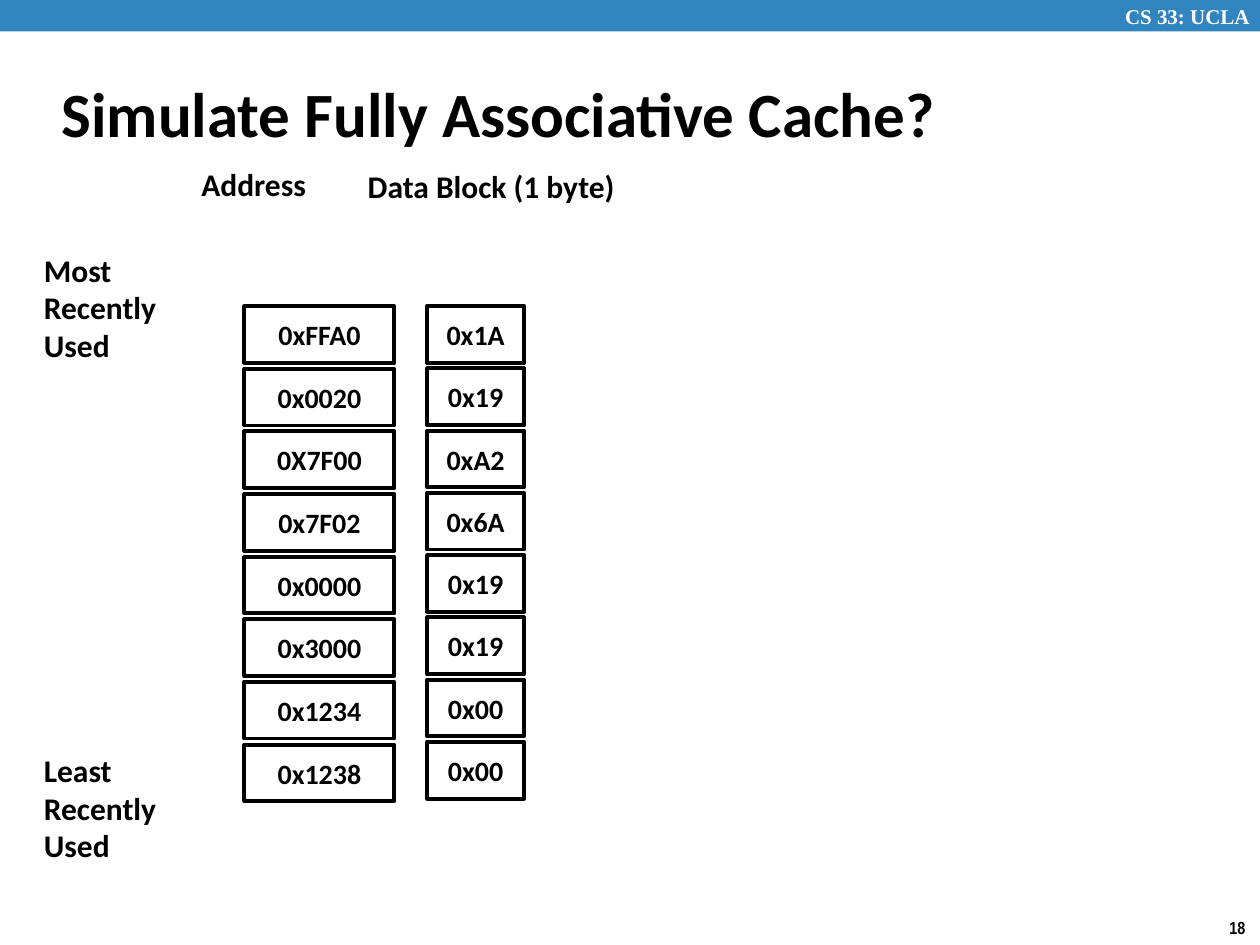
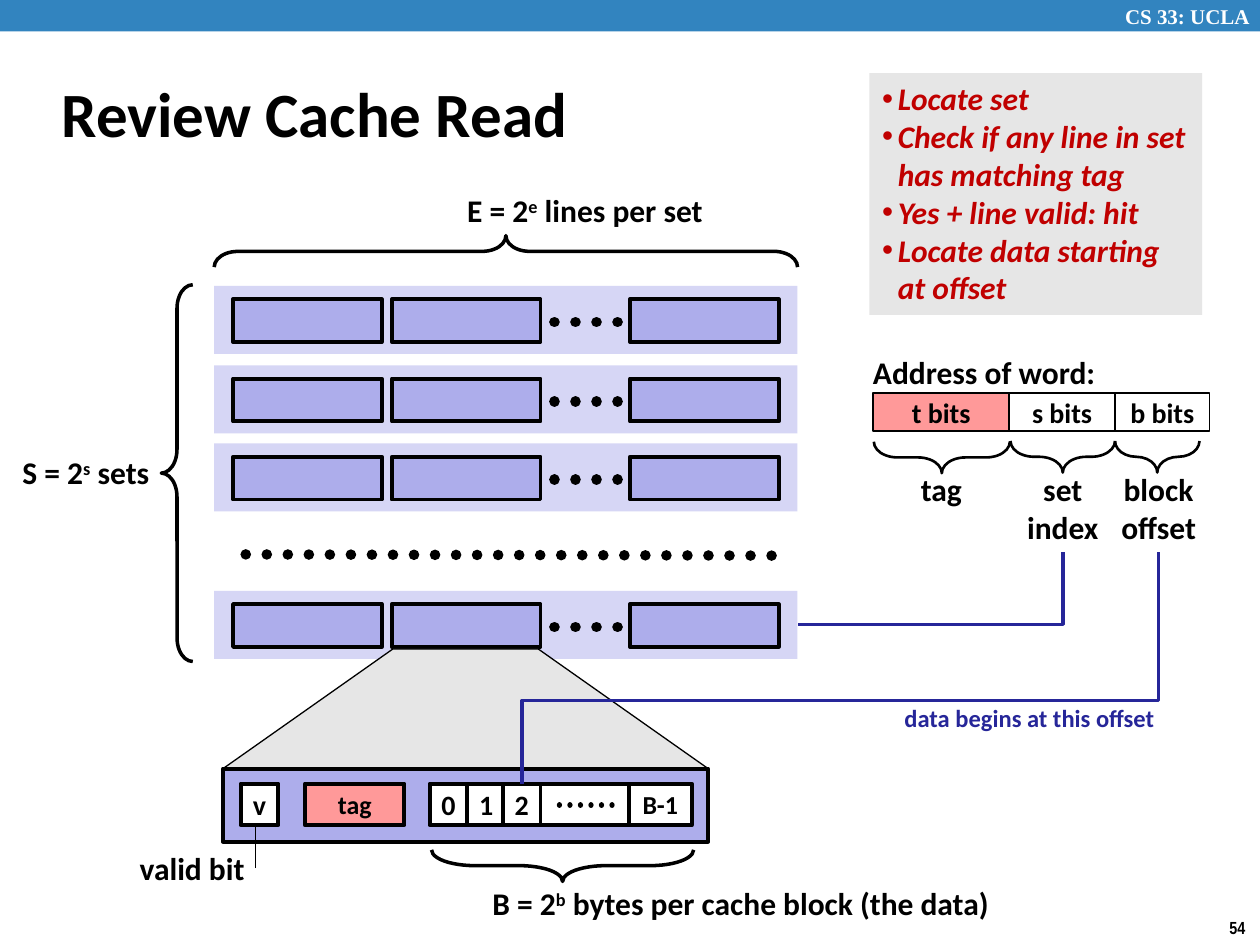
"""Build two cache slides on a grid of 100 columns by 75 rows."""
import pptx
import pptx.util
import pptx.dml.color
import pptx.enum.dml
import pptx.enum.shapes
import pptx.enum.text
import pptx.oxml.ns
import pptx.oxml.xmlchemy

Pt = pptx.util.Pt
Shape = pptx.enum.shapes.MSO_SHAPE
Link = pptx.enum.shapes.MSO_CONNECTOR
Align = pptx.enum.text.PP_ALIGN
Anchor = pptx.enum.text.MSO_ANCHOR
hue = pptx.dml.color.RGBColor.from_string
qn = pptx.oxml.ns.qn
node = pptx.oxml.xmlchemy.OxmlElement

BLACK, WHITE, NAVY = "000000", "FFFFFF", "262699"
BAND, RED, PINK = "3284BF", "C00000", "FF9999"
LILAC, PALE, GREY = "ADADEB", "D6D6F5", "E6E6E6"
CELL = pptx.util.Inches(0.1)

deck = pptx.Presentation()
deck.slide_width, deck.slide_height = 100 * CELL, 75 * CELL


def write(shape, text, size=18, tint=BLACK, align=Align.LEFT, anchor=Anchor.TOP,
          wrap=False, font="Calibri", italic=False):
    """Fill a shape with text: newline for paragraph, tab for line break, ^x^ for superscript."""
    frame = shape.text_frame
    frame.auto_size = pptx.enum.text.MSO_AUTO_SIZE.NONE
    frame.word_wrap, frame.vertical_anchor = wrap, anchor
    for n, words in enumerate(text.split("\n")):
        para = frame.add_paragraph() if n else frame.paragraphs[0]
        para.alignment, para.space_before = align, Pt(0)
        for k, line in enumerate(words.split("\t")):
            if k:
                para.add_line_break()
            for j, part in enumerate(line.split("^")):
                run = para.add_run()
                run.text = part
                run.font.name, run.font.size = font, Pt(size)
                run.font.bold, run.font.italic = True, italic
                run.font.color.rgb = hue(tint)
                if j % 2:
                    run.font._element.set("baseline", "30000")


def draw(slide, at, fill=None, width=0, kind=Shape.RECTANGLE, turn=0, bend=None):
    """Draw a preset shape at left, top, width, height in grid cells."""
    shape = slide.shapes.add_shape(kind, *[int(v * CELL) for v in at])
    shape.shadow.inherit = False
    shape.rotation = turn
    if bend:
        shape.adjustments[0] = bend
    if fill:
        shape.fill.solid()
        shape.fill.fore_color.rgb = hue(fill)
    else:
        shape.fill.background()
    if width:
        shape.line.color.rgb = hue(BLACK)
        shape.line.width = Pt(width)
    else:
        shape.line.fill.background()
    return shape


pages = []
for name, number, layout in [("Simulate Fully Associative Cache?", "18", 5),
                             ("Review Cache Read", "54", 1)]:
    page = deck.slides.add_slide(deck.slide_layouts[layout])
    title = page.shapes.title
    title.left, title.top, title.width, title.height = [
        int(v * CELL) for v in (3.9, 4.8, 83, 8.3)]
    write(title, name, 36, anchor=Anchor.MIDDLE, wrap=True)
    band = draw(page, (0, 0, 100, 2.5), BAND)
    band.text_frame.margin_right = int(0.8 * CELL)
    band.text_frame.margin_top = band.text_frame.margin_bottom = 0
    write(band, "CS 33: UCLA", 12, WHITE, Align.RIGHT, Anchor.MIDDLE,
          wrap=True, font="Times New Roman")
    foot = page.shapes.add_textbox(*[int(v * CELL) for v in (96.6, 72.3, 3.4, 2.7)])
    write(foot, number, 10, font="Arial Narrow")
    pages.append(page)
cache, review = pages

columns = [
    (19.4, 11.9, 4.97, "0xFFA0 0x0020 0X7F00 0x7F02 0x0000 0x3000 0x1234 0x1238"),
    (33.9, 7.7, 4.94, "0x1A 0x19 0xA2 0x6A 0x19 0x19 0x00 0x00"),
]
for left, wide, pitch, values in columns:
    for row, value in enumerate(values.split()):
        entry = draw(cache, (left, 24.3 + row * pitch, wide, 4.5), WHITE, 2.25)
        write(entry, value, 16, align=Align.CENTER, anchor=Anchor.MIDDLE)

body = review.placeholders[1]
body.left, body.top, body.width, body.height = [
    int(v * CELL) for v in (69, 5.8, 26.4, 19.2)]
body.fill.solid()
body.fill.fore_color.rgb = hue(GREY)
write(body, "Locate set\nCheck if any line in set\thas matching tag\n"
      "Yes + line valid: hit\nLocate data starting\tat offset", tint=RED, italic=True)
for para in body.text_frame.paragraphs:
    props = para._p.get_or_add_pPr()
    props.set("marL", str(int(1.25 * CELL)))
    props.set("indent", str(int(-1.25 * CELL)))

wires = [((19.5, 44), (61.9, 44.1), BLACK, 6, True),
         ((44.4, 63.9), (49.4, 63.9), BLACK, 3, True),
         ((20.3, 68.9), (20.3, 65.6), BLACK, 0.75, False)]
for top in (22.7, 29, 35.2, 46.9):
    draw(review, (17, top, 46.3, 5.4), PALE)
    for left in (18.5, 31.1, 50):
        draw(review, (left, top + 1.05, 11.8, 3.4), LILAC, 2.25)
    wires.append(((44, top + 2.87), (50.1, top + 2.87), BLACK, 6, True))

draw(review, (17.7, 51.5, 38.5, 9.5), GREY, 0.75, Shape.TRAPEZOID, bend=1.42)
draw(review, (17.7, 61, 38.5, 5.8), LILAC, 2.25)
for left, wide, text, size, fill in [
        (34.1, 3, "0", 16, WHITE), (37.1, 3, "1", 16, WHITE),
        (39.9, 3, "2", 16, WHITE), (49.9, 5, "B-1", 14.8, WHITE),
        (42.9, 7, "", 16, WHITE), (24.2, 7.9, "tag", 14.8, PINK),
        (19.1, 3, "v", 16, WHITE)]:
    part = draw(review, (left, 62.2, wide, 3.3), fill, 2.25)
    if text:
        write(part, text, size, align=Align.CENTER, anchor=Anchor.MIDDLE)

for left, wide, text, fill in [(69.3, 10.8, "t bits", PINK),
                               (80.1, 8.4, "s bits", WHITE),
                               (88.5, 7.5, "b bits", WHITE)]:
    field = draw(review, (left, 31.2, wide, 3), fill, 1)
    write(field, text, 16, align=Align.CENTER, anchor=Anchor.MIDDLE)

for at, turn, width, bend in [
        ((38.9, -3.2, 2.5, 46.3), 90, 2, 0.75), ((12.8, 22.6, 2.5, 29.9), 0, 2, 0.75),
        ((43.4, 58.3, 2.5, 20.8), 270, 2, 1.37), ((73.5, 30.9, 2.5, 10.8), 270, 1.5, 0.75),
        ((83.1, 32.1, 2.5, 8.3), 270, 1.5, 0.75), ((90.6, 32.9, 2.5, 6.7), 270, 1.5, 0.75)]:
    draw(review, at, None, width, Shape.LEFT_BRACE, turn, bend)

for start, end, tint, width, dots in wires:
    wire = review.shapes.add_connector(
        Link.STRAIGHT, *[int(v * CELL) for v in start + end])
    wire.line.color.rgb = hue(tint)
    wire.line.width = Pt(width)
    wire._element.spPr.append(node("a:effectLst"))
    if dots:
        wire.line.dash_style = pptx.enum.dml.MSO_LINE.ROUND_DOT
        wire._element.spPr.find(qn("a:ln")).set("cap", "rnd")

for left, top, wide, high, preset, bend in [
        (71, 36.2, 5.7, 21, "bentConnector2", None),
        (57.5, 27.8, 18.4, 50.5, "bentConnector3", 63800)]:
    wire = review.shapes.add_connector(
        Link.ELBOW, *[int(v * CELL) for v in (left, top, left + wide, top + high)])
    wire.line.color.rgb = hue(NAVY)
    wire.line.width = Pt(2)
    props = wire._element.spPr
    props.append(node("a:effectLst"))
    props.find(qn("a:xfrm")).set("rot", "5400000")
    shape = props.find(qn("a:prstGeom"))
    shape.set("prst", preset)
    if bend:
        guide = node("a:gd")
        guide.set("name", "adj1")
        guide.set("fmla", f"val {bend}")
        shape.find(qn("a:avLst")).append(guide)

for page, at, text, size, tint, align, wrap in [
        (cache, (28.2, 12.8, 21.8, 4), "Data Block (1 byte)", 18, BLACK, Align.LEFT, False),
        (cache, (15, 12.6, 10.4, 4), "Address", 18, BLACK, Align.LEFT, False),
        (cache, (2.5, 19.4, 11.6, 10.1), "Most Recently Used", 18, BLACK, Align.LEFT, True),
        (cache, (2.5, 59.1, 11.6, 10.1), "Least Recently Used", 18, BLACK, Align.LEFT, True),
        (review, (36.1, 14.7, 21.4, 4), "E = 2^e^ lines per set", 18, BLACK, Align.LEFT, False),
        (review, (0.8, 35.5, 12.3, 4), "S = 2^s^ sets", 18, BLACK, Align.LEFT, False),
        (review, (10.1, 66.9, 10.4, 4), "valid bit", 18, BLACK, Align.LEFT, False),
        (review, (38.1, 69.7, 41.9, 4), "B = 2^b^ bytes per cache block (the data)",
         18, BLACK, Align.LEFT, False),
        (review, (68.3, 27.5, 19.8, 4), "Address of word:", 18, BLACK, Align.LEFT, False),
        (review, (72.1, 36.8, 5.3, 4), "tag", 18, BLACK, Align.LEFT, False),
        (review, (80.5, 36.8, 7.7, 7.1), "set\nindex", 18, BLACK, Align.CENTER, False),
        (review, (87.9, 36.8, 8.1, 7.1), "block\noffset", 18, BLACK, Align.CENTER, False),
        (review, (70.8, 55.3, 22, 3.4), "data begins at this offset",
         14, NAVY, Align.LEFT, False)]:
    label = page.shapes.add_textbox(*[int(v * CELL) for v in at])
    write(label, text, size, tint, align, wrap=wrap)

deck.save("out.pptx")
